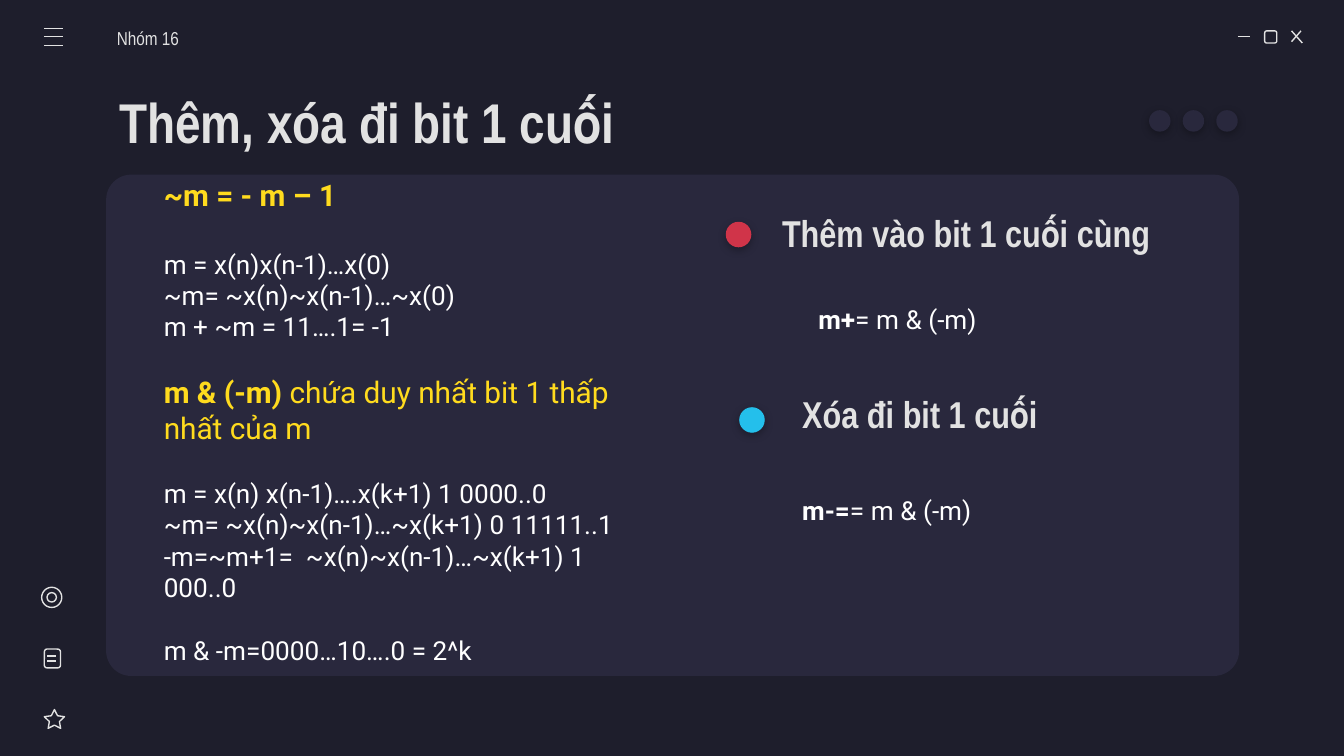
import pptx
import pptx.util
import pptx.dml.color
import pptx.oxml
import pptx.oxml.ns
from pptx.enum.shapes import MSO_CONNECTOR, MSO_SHAPE
from pptx.enum.text import MSO_ANCHOR

W = 10
H = W * 9 / 16
BACK, PANEL, PALE, WHITE, YELLOW = "1E1E2C", "29283D", "E2E2E2", "FFFFFF", "FFDB1E"
RED, BLUE = "D03449", "24BFEB"
HEAD, BODY = "Arial Narrow", "Roboto"

HEADINGS = [
    ("Nhóm 16", 10, False, (0.87, 0.12, 1.17, 0.3), 0),
    ("Thêm, xóa đi bit 1 cuối", 30, True, (0.79, 0.59, 7.88, 0.63), 0.1),
    ("Xóa đi bit 1 cuối", 20, True, (5.87, 2.89, 2.18, 0.38), 0.1),
    ("Thêm vào bit 1 cuối cùng", 20, True, (5.72, 1.54, 3.38, 0.38), 0.1),
]
PROOF = [
    ("~m = - m – 1", "", 16, YELLOW, 0),
    ("", "m = x(n)x(n-1)…x(0)", 14, WHITE, 19),
    ("", "~m= ~x(n)~x(n-1)…~x(0)", 14, WHITE, 0),
    ("", "m + ~m = 11….1= -1", 14, WHITE, 0),
    ("m & (-m) ", "chứa duy nhất bit 1 thấp nhất của m", 16, YELLOW, 17),
    ("", "m = x(n) x(n-1)….x(k+1) 1 0000..0", 14, WHITE, 17),
    ("", "~m= ~x(n)~x(n-1)…~x(k+1) 0 11111..1", 14, WHITE, 0),
    ("", "-m=~m+1=  ~x(n)~x(n-1)…~x(k+1) 1  000..0", 14, WHITE, 0),
    ("", "m & -m=0000…10….0 = 2^k", 14, WHITE, 17),
]
FORMULAS = [
    ("m+", "= m & (-m)", (5.99, 2.16, 1.94, 0.63), 0.1),
    ("m-=", "= m & (-m)", (5.87, 3.63, 5, 0.57), 0.05),
]
DOTS = [(5.5, 3.03, 0.19, BLUE), (5.4, 1.65, 0.19, RED)]
DOTS += [(8.55 + 0.25 * i, 0.82, 0.16, PANEL) for i in range(3)]
LINES = [(0.33, y, 0.47, y) for y in (0.21, 0.27, 0.34)]
LINES += [(0.35, y, 0.42, y) for y in (4.88, 4.92)]
LINES += [(9.21, 0.27, 9.3, 0.27), (9.61, 0.23, 9.69, 0.32), (9.68, 0.23, 9.61, 0.31)]
ICONS = [
    (MSO_SHAPE.ROUNDED_RECTANGLE, (9.41, 0.23, 0.09, 0.09)),
    (MSO_SHAPE.ROUNDED_RECTANGLE, (0.33, 4.83, 0.12, 0.14)),
    (MSO_SHAPE.OVAL, (0.31, 4.37, 0.15, 0.15)),
    (MSO_SHAPE.OVAL, (0.35, 4.41, 0.07, 0.07)),
    (MSO_SHAPE.STAR_5_POINT, (0.33, 5.28, 0.15, 0.14)),
]
SHADOW = (
    '<a:effectLst %s><a:outerShdw blurRad="57150" dist="19050" dir="5400000" '
    'algn="bl" rotWithShape="0"><a:srgbClr val="000000"><a:alpha val="30000"/>'
    '</a:srgbClr></a:outerShdw></a:effectLst>' % pptx.oxml.ns.nsdecls("a")
)


def rgb(value):
    return pptx.dml.color.RGBColor.from_string(value)


def inches(values):
    return [pptx.util.Inches(v) for v in values]


def set_line(sp):
    sp.line.color.rgb = rgb(PALE)
    sp.line.width = pptx.util.Pt(0.75)


def add_shape(kind, box, fill=None):
    sp = slide.shapes.add_shape(kind, *inches(box))
    sp.shadow.inherit = False
    if fill:
        sp.fill.solid()
        sp.fill.fore_color.rgb = rgb(fill)
        sp.line.fill.background()
    else:
        sp.fill.background()
        set_line(sp)
    return sp


def add_line(ends):
    sp = slide.shapes.add_connector(MSO_CONNECTOR.STRAIGHT, *inches(ends))
    set_line(sp)
    sp._element.spPr.append(
        pptx.oxml.parse_xml("<a:effectLst %s/>" % pptx.oxml.ns.nsdecls("a")))


def add_dot(x, y, size, fill):
    sp = add_shape(MSO_SHAPE.OVAL, (x, y, size, size), fill)
    pr = sp._element.spPr
    pr.remove(pr.find(pptx.oxml.ns.qn("a:effectLst")))
    pr.append(pptx.oxml.parse_xml(SHADOW))


def add_text(box, anchor=MSO_ANCHOR.MIDDLE, left=0.1, inset=0.1):
    tf = slide.shapes.add_textbox(*inches(box)).text_frame
    tf.word_wrap = True
    tf.vertical_anchor = anchor
    tf.margin_left, tf.margin_top, tf.margin_right, tf.margin_bottom = inches(
        (left, inset, 0.1, inset))
    return tf


def style(p, size, font, color):
    p.font.size = pptx.util.Pt(size)
    p.font.name = font
    p.font.color.rgb = rgb(color)


def add_runs(p, bold, plain, size, color):
    style(p, size, BODY, color)
    for text, heavy in ((bold, True), (plain, False)):
        if text:
            r = p.add_run()
            r.text = text
            r.font.bold = heavy


prs = pptx.Presentation()
prs.slide_width, prs.slide_height = inches((W, H))
slide = prs.slides.add_slide(prs.slide_layouts[6])
slide.background.fill.solid()
slide.background.fill.fore_color.rgb = rgb(BACK)

panel = add_shape(MSO_SHAPE.ROUNDED_RECTANGLE, (0.79, 1.3, 8.43, 3.73), PANEL)
panel.adjustments[0] = 0.05

for ends in LINES:
    add_line(ends)
for kind, box in ICONS:
    sp = add_shape(kind, box)
    if kind == MSO_SHAPE.STAR_5_POINT:
        sp.adjustments[0] = 0.25

for text, size, bold, box, left in HEADINGS:
    p = add_text(box, left=left).paragraphs[0]
    p.text = text
    style(p, size, HEAD, PALE)
    p.font.bold = bold
    if not bold:
        p.line_spacing = 1.15

tf = add_text((1.12, 1.09, 3.88, 4.09))
for i, (bold, plain, size, color, gap) in enumerate(PROOF):
    p = tf.add_paragraph() if i else tf.paragraphs[0]
    p.space_before = pptx.util.Pt(gap)
    add_runs(p, bold, plain, size, color)

for bold, plain, box, inset in FORMULAS:
    tf = add_text(box, MSO_ANCHOR.TOP, inset=inset)
    add_runs(tf.paragraphs[0], bold, plain, 14, WHITE)

for dot in DOTS:
    add_dot(*dot)

prs.save("out.pptx")
